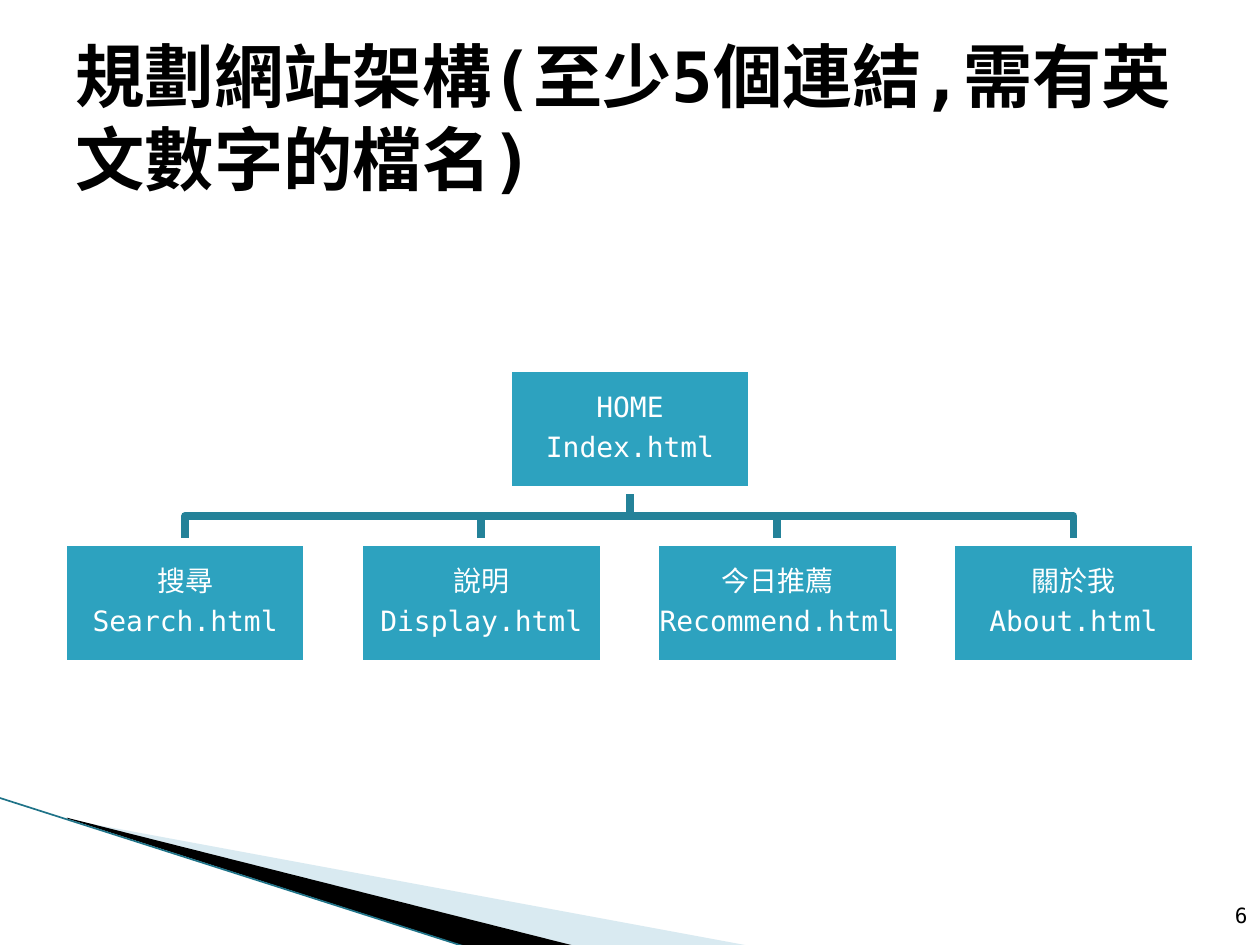
from pptx import Presentation
from pptx.dml.color import RGBColor
from pptx.enum.shapes import MSO_CONNECTOR, MSO_SHAPE
from pptx.enum.text import MSO_ANCHOR, MSO_AUTO_SIZE, PP_ALIGN
from pptx.oxml.ns import qn
from pptx.util import Pt
from lxml import etree

LEFT, CENTER, RIGHT = PP_ALIGN.LEFT, PP_ALIGN.CENTER, PP_ALIGN.RIGHT
MIDDLE, BOTTOM = MSO_ANCHOR.MIDDLE, MSO_ANCHOR.BOTTOM
RECT, STRAIGHT = MSO_SHAPE.RECTANGLE, MSO_CONNECTOR.STRAIGHT
NO_FIT = MSO_AUTO_SIZE.NONE
FONT = "DejaVu Sans Mono"


def rgb(value):
    return RGBColor.from_string(value)


def write(sp, lines, size, color, align, frame, para, bold=False):
    tf = sp.text_frame
    for name, value in frame.items():
        setattr(tf, name, value)
    for i, line in enumerate(lines):
        p = tf.paragraphs[0] if i == 0 else tf.add_paragraph()
        p.alignment = align
        for name, value in para.items():
            setattr(p, name, value)
        r = p.add_run()
        r.text = line
        for name, value in {"name": FONT, "size": Pt(size), "bold": bold}.items():
            setattr(r.font, name, value)
        r.font.color.rgb = rgb(color)


prs = Presentation()
prs.slide_width, prs.slide_height = Pt(720), Pt(540)
s = prs.slides.add_slide(prs.slide_layouts[5])

wedges = [
    ("A0CBDC", 40, [(39.6, 468.5), (428.4, 540.5), (328.3, 540.5), (39.6, 468)]),
    ("000000", 100, [(38.2, 467.3), (329, 540.7), (267.8, 541.4), (38.9, 468)]),
]
for color, alpha, points in wedges:
    points = [(Pt(x), Pt(y)) for x, y in points]
    fb = s.shapes.build_freeform(*points[0])
    fb.add_line_segments(points[1:], close=True)
    sp = fb.convert_to_shape()
    sp.shadow.inherit = False
    sp.fill.solid()
    sp.fill.fore_color.rgb = rgb(color)
    sp.line.fill.background()
    if alpha < 100:
        clr = sp.fill._xPr.find(qn("a:solidFill"))[0]
        etree.SubElement(clr, qn("a:alpha")).set("val", str(alpha * 1000))

edge = s.shapes.add_connector(STRAIGHT, Pt(-0.7), Pt(455.8), Pt(267.1), Pt(541.4))
edge.line.color.rgb = rgb("1F7388")
edge.line.width = Pt(0.95)
etree.SubElement(edge._element.spPr, qn("a:effectLst"))

box_w, box_h = 139.6, 69.8
home_x, home_y = 290.2, 210.2
page_x, page_y, step = 36, 309.6, 169.2
pages = [
    ("搜尋", "Search.html"),
    ("說明", "Display.html"),
    ("今日推薦", "Recommend.html"),
    ("關於我", "About.html"),
]
boxes = [(home_x, home_y, ("HOME", "Index.html"))]
boxes += [(page_x + i * step, page_y, page) for i, page in enumerate(pages)]

mid_x, bottom, bend_y = home_x + box_w / 2, home_y + box_h, 294.8
for x, y, lines in boxes[1:]:
    end_x = x + box_w / 2
    fb = s.shapes.build_freeform(Pt(mid_x), Pt(bottom))
    bends = [(mid_x, bend_y), (end_x, bend_y), (end_x, y)]
    fb.add_line_segments([(Pt(a), Pt(b)) for a, b in bends], close=False)
    sp = fb.convert_to_shape()
    sp.shadow.inherit = False
    sp.fill.background()
    sp.line.color.rgb = rgb("248299")
    sp.line.width = Pt(4.33)

box_frame = {"word_wrap": True, "vertical_anchor": MIDDLE}
for side in ("left", "right", "top", "bottom"):
    box_frame["margin_" + side] = Pt(0.8)
for x, y, lines in boxes:
    sp = s.shapes.add_shape(RECT, Pt(x), Pt(y), Pt(box_w), Pt(box_h))
    sp.shadow.inherit = False
    sp.fill.solid()
    sp.fill.fore_color.rgb = rgb("2DA2BF")
    sp.line.color.rgb = rgb("FFFFFF")
    sp.line.width = Pt(4.33)
    write(sp, lines, 16, "FFFFFF", CENTER, box_frame,
          {"line_spacing": 0.9, "space_after": Pt(5.6)})

title = s.shapes.title
place = {"left": 36, "top": 21.6, "width": 648, "height": 90}
for name, value in place.items():
    setattr(title, name, Pt(value))
write(title, ["規劃網站架構(至少5個連結,需有英文數字的檔名)"], 39.6, "000000", LEFT,
      {"word_wrap": True, "auto_size": NO_FIT, "vertical_anchor": MIDDLE}, {}, bold=True)

number = s.shapes.add_textbox(Pt(681.1), Pt(504.7), Pt(38.9), Pt(28.8))
write(number, ["6"], 12, "000000", RIGHT,
      {"word_wrap": True, "vertical_anchor": BOTTOM}, {})

prs.save("out.pptx")
